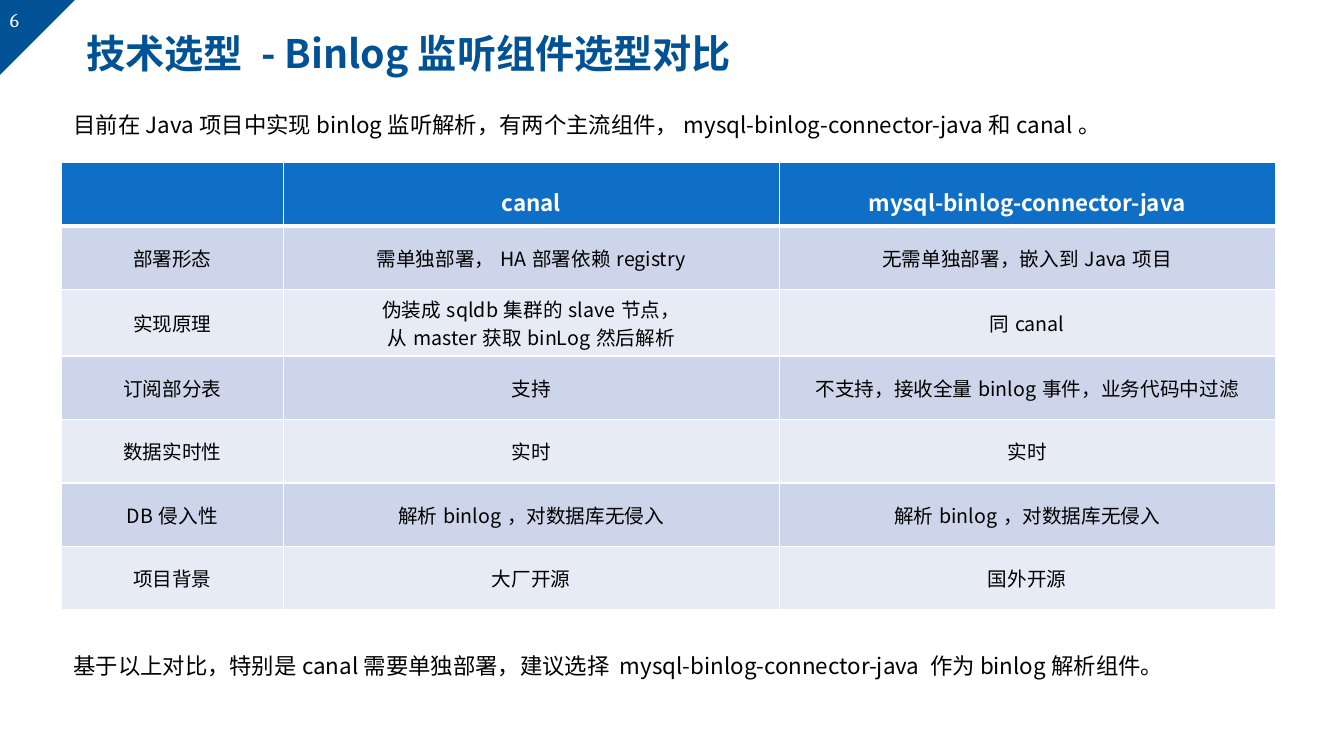
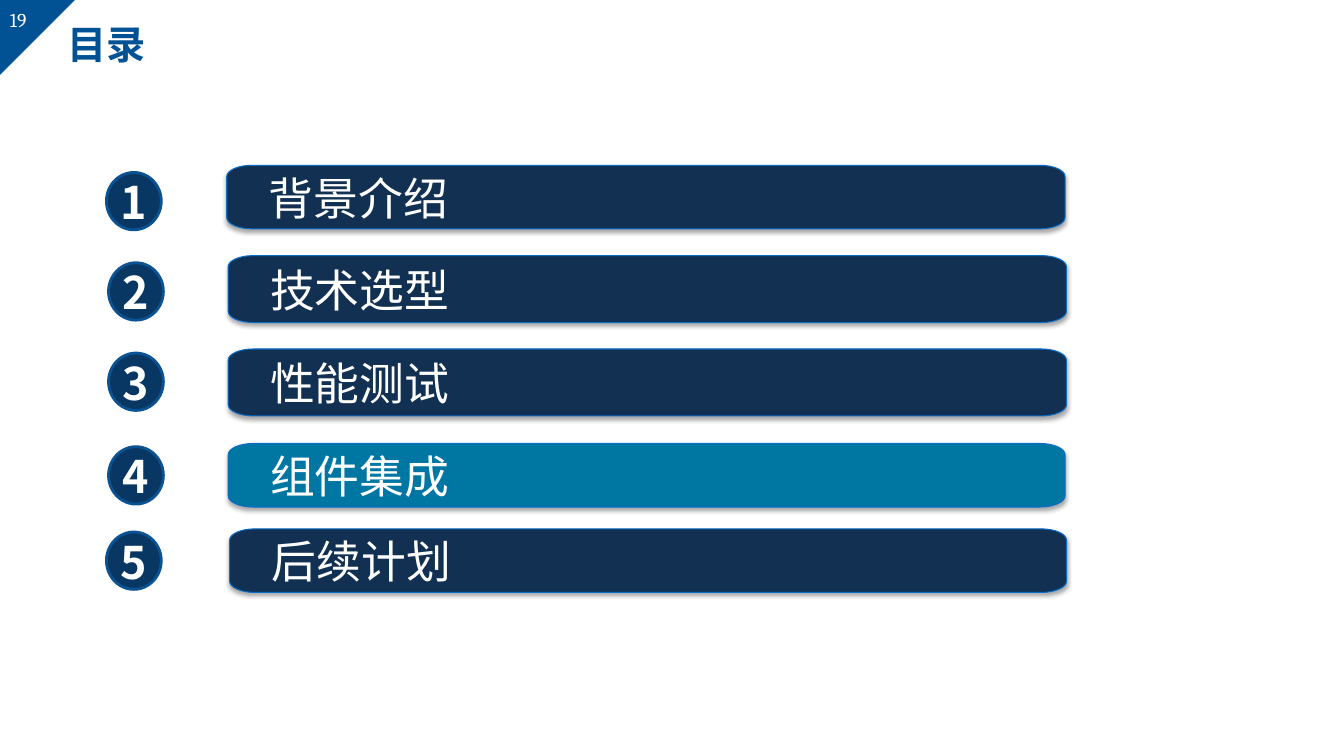
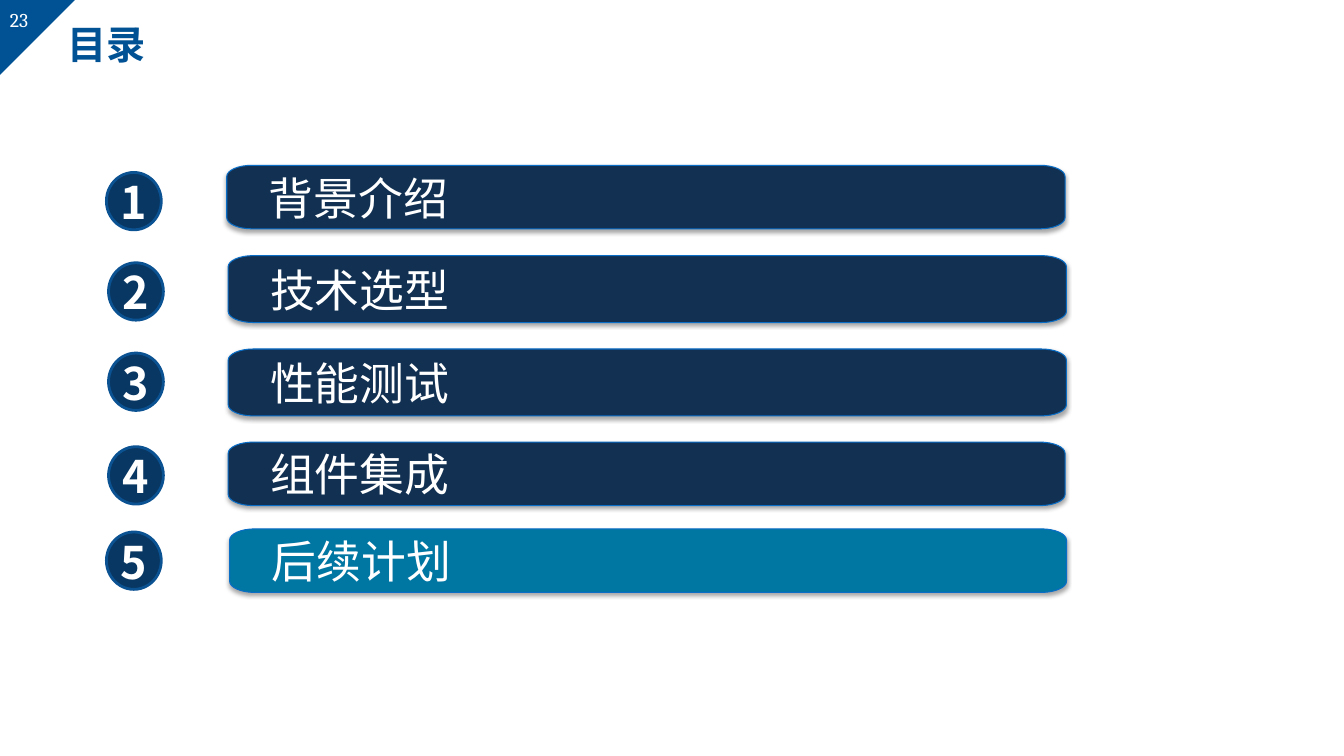
import lxml.etree
import pptx
import pptx.dml.color
import pptx.enum.shapes
import pptx.enum.text
import pptx.oxml.ns
import pptx.util

Pt = pptx.util.Pt
qn = pptx.oxml.ns.qn
SHAPE = pptx.enum.shapes.MSO_SHAPE
ALIGN = pptx.enum.text.PP_ALIGN
ANCHOR = pptx.enum.text.MSO_ANCHOR

# Shared style
SANS = "Noto Sans CJK SC"
WHITE, BLACK, BRAND_BLUE = "FFFFFF", "000000", "005295"
HEADER_FILL, ROW_FILLS = "0F6FC6", ("CCD5EA", "E7EBF5")
BAR_FILL, ACTIVE_FILL, BAR_LINE = "113052", "0076A3", "0A6DC6"
DISC_FILL, DISC_LINE = "083763", "0B5292"

# Comparison table
COLUMN_WIDTHS = (158.4, 354.3, 354.3)
ROW_HEIGHT, TWO_LINE_HEIGHT = 45.4, 47.5
COMPARISON = [
    ("", "canal", "mysql-binlog-connector-java"),
    ("部署形态", "需单独部署，HA部署依赖registry", "无需单独部署，嵌入到Java项目"),
    ("实现原理", "伪装成sqldb集群的slave节点，\n从master获取binLog然后解析", "同canal"),
    ("订阅部分表", "支持", "不支持，接收全量binlog事件，业务代码中过滤"),
    ("数据实时性", "实时", "实时"),
    ("DB侵入性", "解析binlog，对数据库无侵入", "解析binlog，对数据库无侵入"),
    ("项目背景", "大厂开源", "国外开源"),
]

# Agenda: label, font, bar (left, top, width, height), disc (left, top)
AGENDA = [
    ("背景介绍", SANS, (162, 118.1, 598.8, 45.4), (76, 123.2)),
    ("技术选型", "Arial", (163, 182.6, 598.8, 47.8), (77.5, 187.7)),
    ("性能测试", SANS, (163, 249.3, 598.8, 47.8), (77.5, 252.2)),
    ("组件集成", SANS, (163, 315.8, 597.8, 45.4), (77.5, 319.1)),
    ("后续计划", SANS, (164, 377.8, 597.8, 45.4), (76, 380)),
]


def color(value):
    return pptx.dml.color.RGBColor.from_string(value)


def fill(target, value):
    target.fill.solid()
    target.fill.fore_color.rgb = color(value)


def outline(shape, value, width):
    shape.line.color.rgb = color(value)
    shape.line.width = Pt(width)


def write(frame, text, size, ink, font=SANS, bold=False, align=ALIGN.LEFT, spacing=None):
    """Fill a text frame, one paragraph per line of text."""
    for index, line in enumerate(text.split("\n")):
        para = frame.paragraphs[0] if index == 0 else frame.add_paragraph()
        para.alignment = align
        para.line_spacing = spacing
        span = para.add_run()
        span.text = line
        span.font.size = Pt(size)
        span.font.bold = bold
        span.font.name = font
        span.font.color.rgb = color(ink)
        east_asian = lxml.etree.SubElement(span._r.get_or_add_rPr(), qn("a:ea"))
        east_asian.set("typeface", font)


def add_text(shapes, left, top, width, height, text, size, ink, wrap=True,
             anchor=ANCHOR.TOP, **style):
    box = shapes.add_textbox(Pt(left), Pt(top), Pt(width), Pt(height))
    box.text_frame.word_wrap = wrap
    box.text_frame.vertical_anchor = anchor
    write(box.text_frame, text, size, ink, **style)


def add_page(deck, number, title, title_left, title_top):
    """Blank page with the corner triangle, page number and title."""
    page = deck.slides.add_slide(deck.slide_layouts[6])
    corner = page.shapes.add_shape(SHAPE.RIGHT_TRIANGLE, Pt(-1.4), Pt(-1.4), Pt(56.3), Pt(56.3))
    corner.rotation = 90
    corner.shadow.inherit = False
    fill(corner, BRAND_BLUE)
    corner.line.fill.background()
    add_text(page.shapes, 0, 2.2, 35.3, 24.5, str(number), 14, WHITE, font="Cambria")
    add_text(page.shapes, title_left, title_top, 856, 67.7, title, 28, BRAND_BLUE,
             anchor=ANCHOR.MIDDLE, bold=True, spacing=1.2)
    return page


def set_borders(cell, bottom_width):
    """White cell borders; call before the fill, which must come after them."""
    properties = cell._tc.get_or_add_tcPr()
    for side, width in (("L", 1), ("R", 1), ("T", 1), ("B", bottom_width)):
        line = lxml.etree.SubElement(properties, qn("a:ln" + side), w=str(Pt(width)))
        solid = lxml.etree.SubElement(line, qn("a:solidFill"))
        lxml.etree.SubElement(solid, qn("a:srgbClr"), val=WHITE)


def add_comparison(page, left, top):
    table = page.shapes.add_table(
        len(COMPARISON), len(COLUMN_WIDTHS), Pt(left), Pt(top),
        Pt(sum(COLUMN_WIDTHS)), Pt(ROW_HEIGHT * len(COMPARISON))).table
    for column, width in zip(table.columns, COLUMN_WIDTHS):
        column.width = Pt(width)
    for row_index, texts in enumerate(COMPARISON):
        header = row_index == 0
        two_lines = any("\n" in text for text in texts)
        table.rows[row_index].height = Pt(TWO_LINE_HEIGHT if two_lines else ROW_HEIGHT)
        for column_index, text in enumerate(texts):
            cell = table.cell(row_index, column_index)
            cell.vertical_anchor = ANCHOR.MIDDLE
            set_borders(cell, 3 if header else 1)
            fill(cell, HEADER_FILL if header else ROW_FILLS[(row_index - 1) % 2])
            if text:
                write(cell.text_frame, text, 16 if header else 14,
                      WHITE if header else BLACK, bold=header,
                      align=ALIGN.CENTER, spacing=1.5 if header else None)


def add_soft_shadow(shape):
    shape.shadow.inherit = False
    effects = shape._element.spPr.find(qn("a:effectLst"))
    shadow = lxml.etree.SubElement(
        effects, qn("a:outerShdw"), blurRad=str(Pt(3.1)), dist=str(Pt(1.8)),
        dir="5400000", algn="ctr", rotWithShape="0")
    shade = lxml.etree.SubElement(shadow, qn("a:srgbClr"), val=BLACK)
    lxml.etree.SubElement(shade, qn("a:alpha"), val="35000")


def add_rounded_bar(page, left, top, width, height, radius_x=18, radius_y=8):
    """Freeform bar whose four corners are quarter ellipses."""
    corners = [(0, 0), (width, 0), (width, height), (0, height)]
    offsets = [(0, radius_y), (radius_x, 0), (-radius_x, 0), (0, radius_y),
               (0, -radius_y), (-radius_x, 0), (radius_x, 0), (0, -radius_y)]
    points = [(corners[index // 2][0] + x, corners[index // 2][1] + y)
              for index, (x, y) in enumerate(offsets)]
    placed = [(Pt(left + x), Pt(top + y)) for x, y in points]
    builder = page.shapes.build_freeform(*placed[0])
    builder.add_line_segments(placed[1:], close=True)
    bar = builder.convert_to_shape()

    # Every second segment crosses a corner: turn it into a curve
    segments = list(bar._element.iter(qn("a:lnTo")))[::2]
    for index, (segment, corner) in enumerate(zip(segments, corners)):
        start, end = points[2 * index:2 * index + 2]
        curve = lxml.etree.Element(qn("a:cubicBezTo"))
        for point, pull in ((start, 0.55), (end, 0.55), (end, 0)):
            x, y = (p + pull * (c - p) for p, c in zip(point, corner))
            lxml.etree.SubElement(curve, qn("a:pt"), x=str(Pt(x)), y=str(Pt(y)))
        segment.getparent().replace(segment, curve)
    return bar


def add_agenda_bar(page, bounds, label, font, active):
    bar = add_rounded_bar(page, *bounds)
    fill(bar, ACTIVE_FILL if active else BAR_FILL)
    outline(bar, BAR_LINE, 0.75)
    add_soft_shadow(bar)
    frame = bar.text_frame
    frame.word_wrap = True
    frame.vertical_anchor = ANCHOR.MIDDLE
    frame.margin_left = frame.margin_right = Pt(30)
    frame.margin_top = frame.margin_bottom = Pt(6)
    write(frame, label, 32, WHITE, font=font)


def add_number_disc(page, left, top, number):
    group = page.shapes.add_group_shape()
    disc = group.shapes.add_shape(SHAPE.OVAL, Pt(left), Pt(top), Pt(39.2), Pt(41))
    disc.shadow.inherit = False
    fill(disc, DISC_FILL)
    outline(disc, DISC_LINE, 2)
    add_text(group.shapes, left + 2.2, top + 2.5, 34.6, 42.5, str(number), 32, WHITE,
             wrap=False, bold=True, align=ALIGN.CENTER, spacing=0.9)


def add_agenda_page(deck, page_number, active, active_drop=0):
    page = add_page(deck, page_number, "目录", 41, -5.8)
    for number, (label, font, bounds, disc) in enumerate(AGENDA, 1):
        left, top, width, height = bounds
        if number == active:
            top += active_drop
        add_agenda_bar(page, (left, top, width, height), label, font, number == active)
        add_number_disc(page, *disc, number)


def add_comparison_page(deck):
    page = add_page(deck, 6, "技术选型 - Binlog监听组件选型对比", 54.7, 0.7)
    add_comparison(page, 43.9, 116)
    remarks = [
        (66.2, "目前在Java项目中实现binlog监听解析，有两个主流组件，"
               "mysql-binlog-connector-java和canal。"),
        (453, "基于以上对比，特别是canal需要单独部署，建议选择 "
              "mysql-binlog-connector-java 作为binlog解析组件。"),
    ]
    for top, text in remarks:
        add_text(page.shapes, 45.4, top, 875, 36, text, 16, BLACK, spacing=1.5)


def main():
    deck = pptx.Presentation()
    deck.slide_width, deck.slide_height = Pt(960), Pt(540)
    add_comparison_page(deck)
    add_agenda_page(deck, 19, active=4, active_drop=1)
    add_agenda_page(deck, 23, active=5)
    deck.save("out.pptx")


if __name__ == "__main__":
    main()
